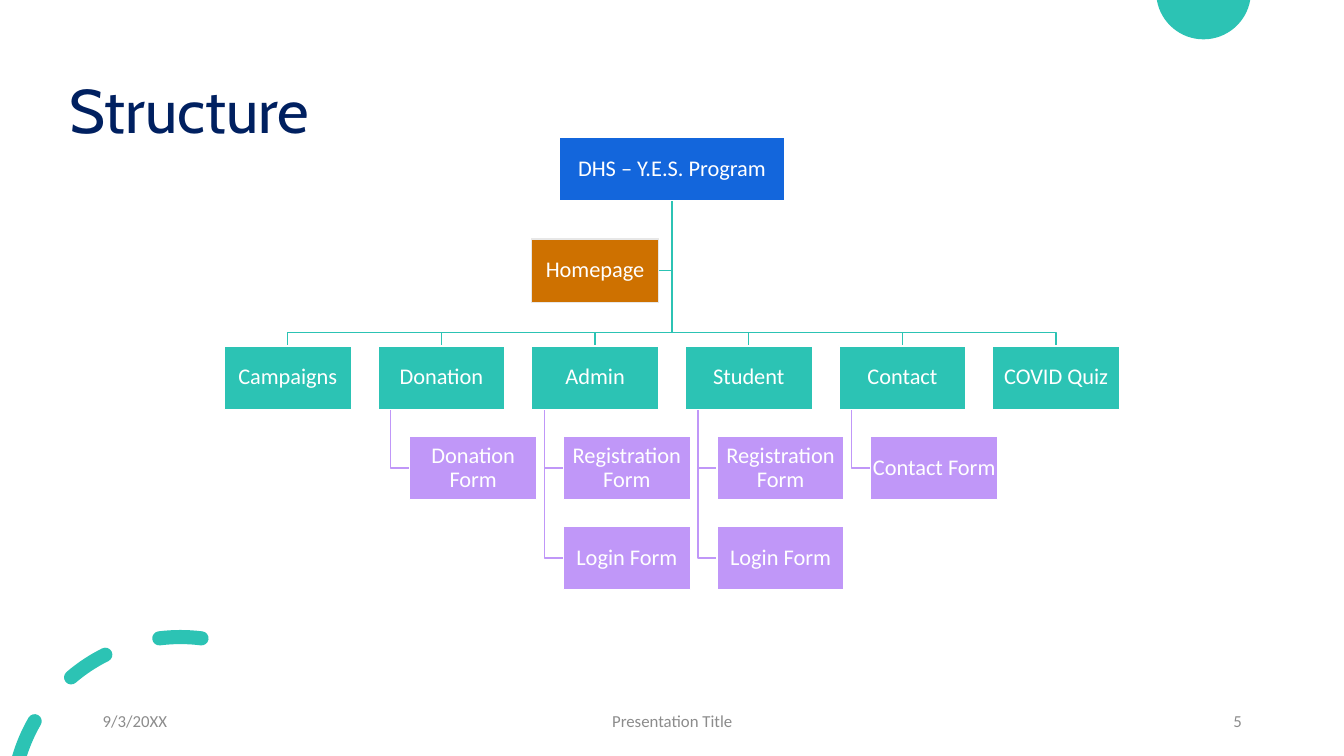
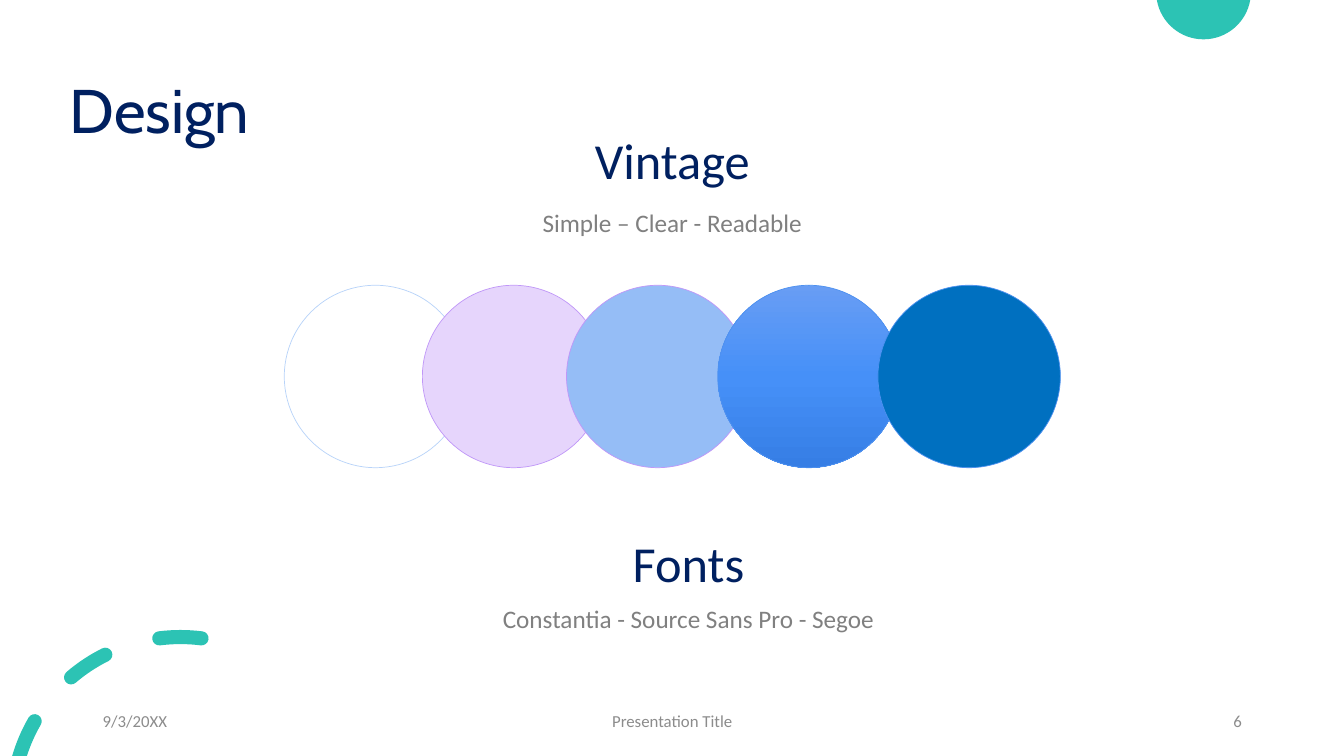
from copy import deepcopy
from math import asin, cos, degrees, radians, sin, tan

from pptx import Presentation
from pptx.dml.color import RGBColor
from pptx.enum import shapes, text
from pptx.oxml.ns import qn
from pptx.util import Inches, Pt

# Shared look
NAVY = RGBColor(0x00, 0x20, 0x60)
TEAL = RGBColor(0x2C, 0xC3, 0xB4)
BLUE = RGBColor(0x13, 0x66, 0xDC)
ORANGE = RGBColor(0xCE, 0x71, 0x00)
LILAC = RGBColor(0xC0, 0x97, 0xF8)
WHITE = RGBColor(0xFF, 0xFF, 0xFF)
PALE_GRAY = RGBColor(0xE7, 0xE7, 0xE7)
FOOTER_GRAY = RGBColor(0x8C, 0x8C, 0x8C)
TEXT_GRAY = RGBColor(0x80, 0x80, 0x80)
PALE_BLUE = RGBColor(0xB8, 0xD3, 0xF9)
PALE_LILAC = RGBColor(0xE6, 0xD5, 0xFC)
SKY = RGBColor(0x95, 0xBD, 0xF6)
EDGE_BLUE = RGBColor(0x4E, 0x91, 0xF0)
OCEAN = RGBColor(0x00, 0x70, 0xC0)
BLUE_RAMP = [RGBColor(0x68, 0x9D, 0xF4), RGBColor(0x46, 0x90, 0xF8), RGBColor(0x36, 0x7E, 0xE5)]
TITLE_FONT, BODY_FONT = "Cabin", "Calibri"
SLIDE_W, SLIDE_H = 40 / 3, 7.5
LEFT, CENTER, RIGHT = text.PP_ALIGN.LEFT, text.PP_ALIGN.CENTER, text.PP_ALIGN.RIGHT

# Content
FIRST_NUMBER = 5
FOOTER_DATE, FOOTER_TITLE = "9/3/20XX", "Presentation Title"
ROOT, ASSISTANT = "DHS – Y.E.S. Program", "Homepage"
SECTIONS = [
    ("Campaigns", []),
    ("Donation", ["Donation Form"]),
    ("Admin", ["Registration Form", "Login Form"]),
    ("Student", ["Registration Form", "Login Form"]),
    ("Contact", ["Contact Form"]),
    ("COVID Quiz", []),
]
# Caption, left, top, width, height, size, colour
CAPTIONS = [
    ("Simple – Clear - Readable", 5.07, 2.01, 3.2, 0.4, 18, TEXT_GRAY),
    ("Vintage", 5.08, 1.23, 3.18, 0.71, 36, NAVY),
    ("Fonts", 5.24, 5.23, 3.18, 0.71, 36, NAVY),
    ("Constantia - Source Sans Pro - Segoe", 3.31, 5.94, 7.04, 0.4, 18, TEXT_GRAY),
]
# Left edge, fill (None: empty, list: gradient), outline
SWATCHES = [
    (2.82, None, PALE_BLUE),
    (4.19, PALE_LILAC, LILAC),
    (5.62, SKY, LILAC),
    (7.12, BLUE_RAMP, EDGE_BLUE),
    (8.71, OCEAN, EDGE_BLUE),
]

# Chart grid, in proportion to the box width
BOX_W, ROOT_W = 1.26, 2.24
BOX_H, GAP = BOX_W / 2, BOX_W * 0.21
COL_STEP, ROW_STEP = BOX_W + GAP, BOX_H + GAP
CHILD_INDENT, TRUNK_INDENT = BOX_W / 4, BOX_W / 10
MID_X = SLIDE_W / 2
COL_X = MID_X - (len(SECTIONS) * COL_STEP - GAP) / 2
ROOT_Y, ASSISTANT_Y, BUS_Y = 1.36, 2.37, 3.3
SECTION_Y = BUS_Y + GAP / 2

# Ornaments: a cut-off circle and a dashed ring
CAP_X, CAP_Y, CAP_R = 11.94, -0.08, 0.47
RING_X, RING_Y, RING_R, HALF = 1.79, 7.99, 1.67, 0.07
DASHES = [(82.8, 97.2), (116.5, 130.5)]
CUT_DASH_START = 150


def style_text(tf, words, size, color, align, font=BODY_FONT):
    tf.text = words
    tf.word_wrap = True
    p = tf.paragraphs[0]
    p.alignment = align
    p.font.size, p.font.name, p.font.color.rgb = Pt(size), font, color
    return p


def add_text(s, words, x, y, w, h, size, color, align):
    tf = s.shapes.add_textbox(Inches(x), Inches(y), Inches(w), Inches(h)).text_frame
    style_text(tf, words, size, color, align)
    return tf


def add_path(s, *outlines, closed=False):
    contours = [[(Inches(x), Inches(y)) for x, y in outline] for outline in outlines]
    builder = s.shapes.build_freeform(*contours[0][0], scale=1.0)
    for i, points in enumerate(contours):
        if i:
            builder.move_to(*points[0])
        builder.add_line_segments(points[1:], close=closed)
    sp = builder.convert_to_shape()
    sp.shadow.inherit = False
    return sp


def arc(cx, cy, radius, start, end, parts=1):
    """Bezier points of an arc; degrees run counterclockwise from the right."""
    sweep = radians(end - start) / parts
    k = 4 / 3 * tan(sweep / 4)
    points = [(cx + radius * cos(radians(start)), cy - radius * sin(radians(start)))]
    for i in range(parts):
        a = radians(start) + i * sweep
        b = a + sweep
        points += [(cx + radius * (cos(a) - k * sin(a)), cy - radius * (sin(a) + k * cos(a))),
                   (cx + radius * (cos(b) + k * sin(b)), cy - radius * (sin(b) - k * cos(b))),
                   (cx + radius * cos(b), cy - radius * sin(b))]
    return points


def round_end(angle, turn):
    x, y = arc(RING_X, RING_Y, RING_R, angle, angle)[0]
    return arc(x, y, HALF, turn, turn + 180, 2)[1:]


def ring_dash(start, end):
    return (arc(RING_X, RING_Y, RING_R + HALF, start, end) + round_end(end, end)
            + arc(RING_X, RING_Y, RING_R - HALF, end, start)[1:]
            + round_end(start, start + 180))


def cut_dash(start):
    """Dash that runs off the bottom of the slide."""
    rise = RING_Y - SLIDE_H
    outer, inner = RING_R + HALF, RING_R - HALF
    outside = arc(RING_X, RING_Y, outer, start, 180 - degrees(asin(rise / outer)))
    inside = arc(RING_X, RING_Y, inner, 180 - degrees(asin(rise / inner)), start)
    edge = [outside[-1], inside[0], inside[0]]
    return outside + edge + inside[1:] + round_end(start, start + 180)


def curve(sp):
    """Turn each three line segments into one Bezier curve."""
    for path in sp.element.iter(qn("a:path")):
        lines = path.findall(qn("a:lnTo"))
        for first, second, third in zip(lines[::3], lines[1::3], lines[2::3]):
            first.tag = qn("a:cubicBezTo")
            for line in (second, third):
                first.append(line[0])
                path.remove(line)


def decorate(layout, s):
    """Draw the teal ornaments and move them to the layout."""
    tilt = degrees(asin(-CAP_Y / CAP_R))
    cap = arc(CAP_X, CAP_Y, CAP_R, 180 + tilt, 360 - tilt, 2)
    ring = [cut_dash(CUT_DASH_START)] + [ring_dash(*span) for span in DASHES]
    for outlines in ([cap], ring):
        sp = add_path(s, *outlines, closed=True)
        curve(sp)
        sp.fill.solid()
        sp.fill.fore_color.rgb = TEAL
        sp.line.fill.background()
        layout.shapes.element.append(sp.element)


def add_slide(prs, layout, title, number):
    s = prs.slides.add_slide(layout)
    sp = s.shapes.title
    sp.left, sp.top, sp.width, sp.height = map(Inches, (0.59, 0.4, 11.5, 1.45))
    sp.text_frame.vertical_anchor = text.MSO_ANCHOR.MIDDLE
    style_text(sp.text_frame, title, 44, NAVY, LEFT, TITLE_FONT).line_spacing = 0.9
    for words, x, w, align in ((FOOTER_DATE, 0.92, 3, LEFT),
                               (FOOTER_TITLE, 4.42, 4.5, CENTER),
                               (str(number), 9.42, 3, RIGHT)):
        tf = add_text(s, words, x, 6.95, w, 0.4, 12, FOOTER_GRAY, align)
        tf.vertical_anchor = text.MSO_ANCHOR.MIDDLE
    return s


def add_box(s, words, x, y, color, w=BOX_W, edge=WHITE):
    sp = s.shapes.add_shape(shapes.MSO_SHAPE.RECTANGLE,
                            Inches(x), Inches(y), Inches(w), Inches(BOX_H))
    sp.shadow.inherit = False
    sp.fill.solid()
    sp.fill.fore_color.rgb = color
    sp.line.color.rgb, sp.line.width = edge, Pt(1)
    tf = sp.text_frame
    tf.margin_left = tf.margin_right = tf.margin_top = tf.margin_bottom = Inches(0.01)
    tf.vertical_anchor = text.MSO_ANCHOR.MIDDLE
    style_text(tf, words, 16, WHITE, CENTER).line_spacing = 0.9


def add_branch(s, points, color):
    sp = add_path(s, points)
    sp.fill.background()
    sp.line.color.rgb, sp.line.width = color, Pt(1)


def build_structure(s):
    root_bottom, section_bottom = ROOT_Y + BOX_H, SECTION_Y + BOX_H
    assistant_x, assistant_mid = COL_X + 2 * COL_STEP, ASSISTANT_Y + BOX_H / 2
    boxes = [(ROOT, MID_X - ROOT_W / 2, ROOT_Y, BLUE, ROOT_W)]
    branches = [([(MID_X, root_bottom), (MID_X, assistant_mid),
                  (assistant_x + BOX_W, assistant_mid)], TEAL)]
    for col, (section, forms) in enumerate(SECTIONS):
        x = COL_X + col * COL_STEP
        mid, trunk, child_x = x + BOX_W / 2, x + TRUNK_INDENT, x + CHILD_INDENT
        boxes.append((section, x, SECTION_Y, TEAL))
        branches.append(([(MID_X, root_bottom), (MID_X, BUS_Y),
                          (mid, BUS_Y), (mid, SECTION_Y)], TEAL))
        for row, form in enumerate(forms, 1):
            y = SECTION_Y + row * ROW_STEP
            boxes.append((form, child_x, y, LILAC))
            branches.append(([(trunk, section_bottom), (trunk, y + BOX_H / 2),
                              (child_x, y + BOX_H / 2)], LILAC))
    boxes.append((ASSISTANT, assistant_x, ASSISTANT_Y, ORANGE, BOX_W, PALE_GRAY))
    for branch in branches:
        add_branch(s, *branch)
    for box in boxes:
        add_box(s, *box)


def fill_gradient(sp, colors):
    sp.fill.gradient()
    sp.fill.gradient_angle = 270
    stops = sp.element.find(".//" + qn("a:gsLst"))
    while len(stops) < len(colors):
        stops.insert(1, deepcopy(stops[0]))
    for i, (stop, color) in enumerate(zip(sp.fill.gradient_stops, colors)):
        stop.position = i / (len(colors) - 1)
        stop.color.rgb = color


def build_design(s):
    for words, x, y, w, h, size, color in CAPTIONS:
        tf = add_text(s, words, x, y, w, h, size, color, CENTER)
        tf.auto_size = text.MSO_AUTO_SIZE.SHAPE_TO_FIT_TEXT
    for x, fill, edge in SWATCHES:
        sp = s.shapes.add_shape(shapes.MSO_SHAPE.FLOWCHART_CONNECTOR,
                                Inches(x), Inches(2.83), Inches(1.81), Inches(1.81))
        sp.shadow.inherit = False
        sp.line.color.rgb, sp.line.width = edge, Pt(0.5)
        if fill is None:
            sp.fill.background()
        elif isinstance(fill, list):
            fill_gradient(sp, fill)
        else:
            sp.fill.solid()
            sp.fill.fore_color.rgb = fill


def main():
    prs = Presentation()
    prs.slide_width, prs.slide_height = Inches(SLIDE_W), Inches(SLIDE_H)
    layout = prs.slide_layouts.get_by_name("Title Only")
    pages = [("Structure", build_structure), ("Design", build_design)]
    for number, (title, build) in enumerate(pages, FIRST_NUMBER):
        s = add_slide(prs, layout, title, number)
        if number == FIRST_NUMBER:
            decorate(layout, s)
        build(s)
    prs.save("out.pptx")


if __name__ == "__main__":
    main()
